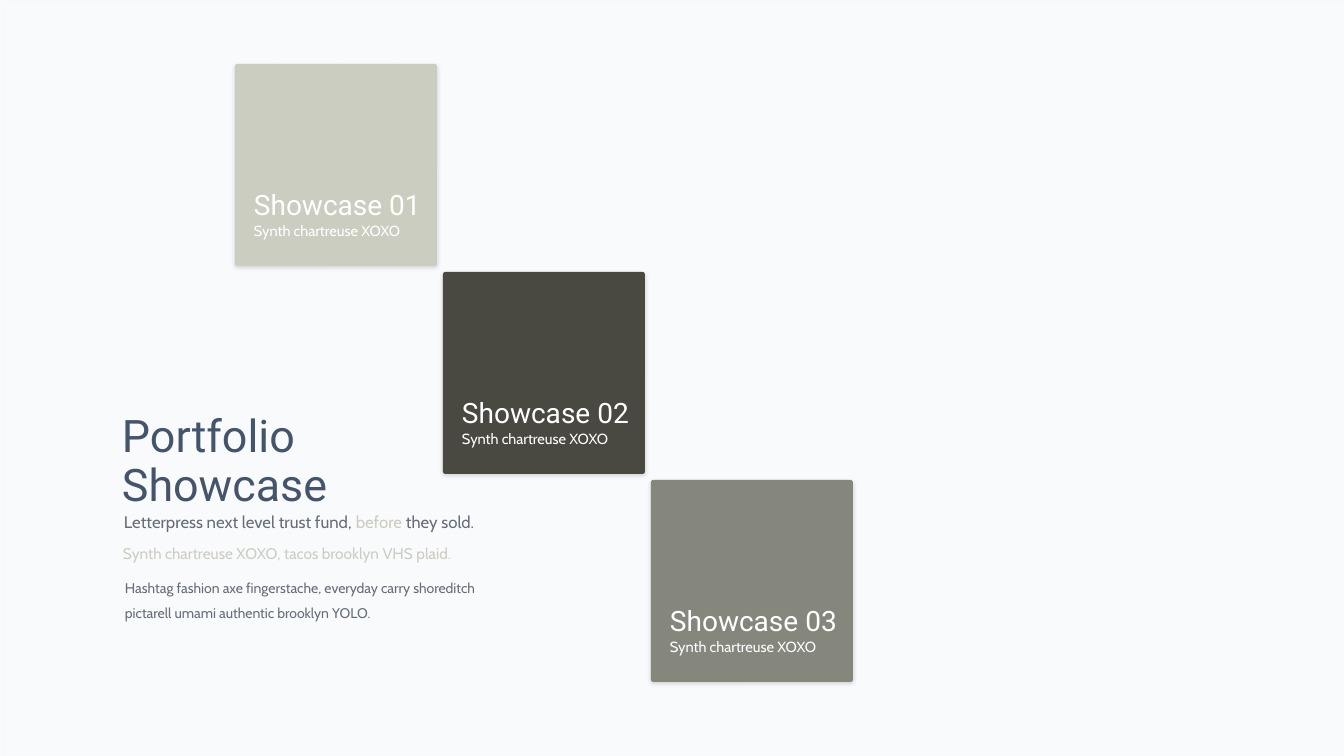
from lxml import etree
from pptx import Presentation
from pptx.dml.color import RGBColor
from pptx.enum.shapes import MSO_SHAPE
from pptx.enum.text import MSO_ANCHOR, MSO_AUTO_SIZE, PP_ALIGN
from pptx.oxml.ns import qn
from pptx.util import Pt

RECT, ROUNDED = MSO_SHAPE.RECTANGLE, MSO_SHAPE.ROUNDED_RECTANGLE
TOP, LEFT, NO_FIT = MSO_ANCHOR.TOP, PP_ALIGN.LEFT, MSO_AUTO_SIZE.NONE
PX = 914400 / 100.8
COLORS = {
    "navy": "44546A", "gray": "656D78", "sand": "CBCDC0", "dark": "494941",
    "olive": "85877C", "white": "FFFFFF", "wash": "7B8DB3", "edge": "EBEBEB",
    "black": "000000",
}
HEADING, BODY = "Roboto", "Cabin"


def px(*lengths):
    return [round(n * PX) for n in lengths]


def write(box, *runs, font=BODY, size, spacing, before=0, inset=(10, 5)):
    """Fill a box with one paragraph of (text, color) runs."""
    frame = box.text_frame
    frame.word_wrap, frame.auto_size, frame.vertical_anchor = True, NO_FIT, TOP
    frame.margin_left, frame.margin_top = px(*inset)
    frame.margin_right, frame.margin_bottom = px(*inset)
    paragraph = frame.paragraphs[0]
    paragraph.alignment = LEFT
    paragraph.line_spacing = spacing
    paragraph.space_before = Pt(before)
    for text, color in runs:
        run = paragraph.add_run()
        run.text = text
        run.font.name, run.font.size = font, Pt(size)
        run.font.color.rgb = RGBColor.from_string(COLORS[color])


prs = Presentation()
prs.slide_width, prs.slide_height = px(1344, 756)
slide = prs.slides.add_slide(prs.slide_layouts[5])
shapes = slide.shapes

# Title
title = shapes.title
title.left, title.top, title.width, title.height = px(112, 409, 314, 99)
write(title, ("Portfolio Showcase", "navy"), font=HEADING, size=32, spacing=0.9,
      before=10)

# Pale wash behind everything
wash = shapes.add_shape(RECT, *px(1, 0, 1344, 757))
wash.shadow.inherit = False
wash.fill.solid()
wash.fill.fore_color.rgb = RGBColor.from_string(COLORS["wash"])
wash.line.color.rgb = RGBColor.from_string(COLORS["edge"])
wash.line.width = Pt(2)
fill_color, edge_color = wash.element.spPr.iter(qn("a:srgbClr"))
for color, percent in ((fill_color, 4), (edge_color, 10)):
    etree.SubElement(color, qn("a:alpha"), val=str(percent * 1000))
title.element.addprevious(wash.element)

# Subtitle
subtitle = shapes.add_textbox(*px(114, 509, 514, 29))
write(subtitle, ("Letterpress next level trust fund, ", "gray"), ("before", "sand"),
      (" they sold.", "gray"), size=12, spacing=0.9, before=10)

# Showcase cards, stepping down to the right
SIDE, STEP = 202, 208
for i, card_color in enumerate(("sand", "dark", "olive")):
    left, top = 235 + i * STEP, 64 + i * STEP
    group = shapes.add_group_shape()
    card = group.shapes.add_shape(ROUNDED, *px(left, top, SIDE, SIDE))
    card.adjustments[0] = 0.012
    card.fill.solid()
    card.fill.fore_color.rgb = RGBColor.from_string(COLORS[card_color])
    card.line.fill.background()

    # Soft shadow below the card
    card.shadow.inherit = False
    effects = card.element.spPr.find(qn("a:effectLst"))
    shadow = etree.SubElement(effects, qn("a:outerShdw"), blurRad=str(Pt(3)),
                              dist=str(Pt(1)), dir="5400000", algn="t", rotWithShape="0")
    shadow_color = etree.SubElement(shadow, qn("a:srgbClr"), val=COLORS["black"])
    etree.SubElement(shadow_color, qn("a:alpha"), val="15000")

    name = group.shapes.add_textbox(*px(left + 9, top + 125, 195, 37))
    write(name, (f"Showcase {i + 1:02}", "white"), font=HEADING, size=20, spacing=0.8)
    caption = group.shapes.add_textbox(*px(left + 9, top + 156, 195, 29))
    write(caption, ("Synth chartreuse XOXO", "white"), size=10.5, spacing=0.8)

# Description and tagline
description = shapes.add_textbox(*px(125, 571, 374, 53))
write(description, ("Hashtag fashion axe fingerstache, everyday carry shoreditch "
                    "pictarell umami authentic brooklyn YOLO.", "gray"),
      size=10, spacing=1.5, before=7.5, inset=(0, 0))
tagline = shapes.add_textbox(*px(123, 539, 376, 35))
write(tagline, ("Synth chartreuse XOXO, tacos brooklyn VHS plaid.", "sand"),
      size=11, spacing=1.3, before=7.5, inset=(0, 0))

prs.save("out.pptx")
